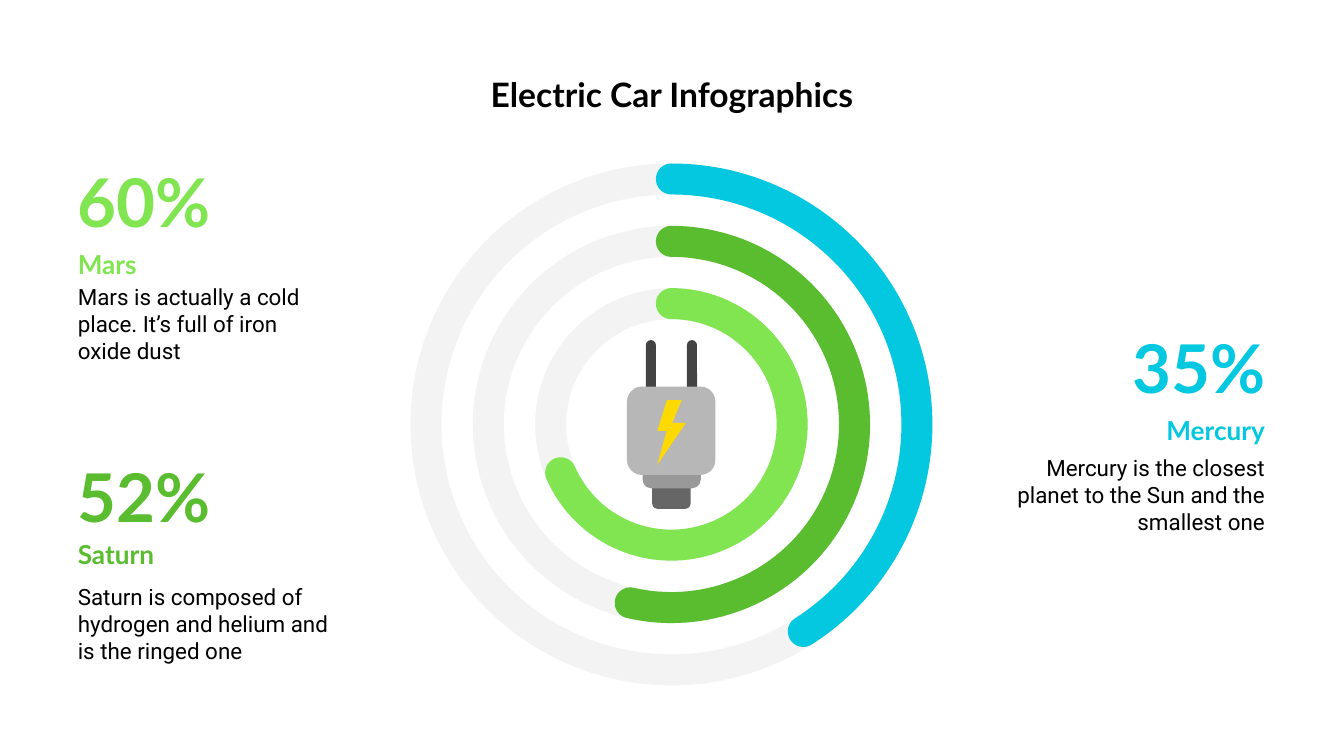
from math import cos, radians, sin

from pptx import Presentation
from pptx.dml.color import RGBColor
from pptx.enum.shapes import MSO_SHAPE
from pptx.enum.text import MSO_ANCHOR, PP_ALIGN
from pptx.util import Pt

LEFT, CENTER, RIGHT = PP_ALIGN.LEFT, PP_ALIGN.CENTER, PP_ALIGN.RIGHT
TOP, MIDDLE = MSO_ANCHOR.TOP, MSO_ANCHOR.MIDDLE
DONUT, ROUNDED = MSO_SHAPE.DONUT, MSO_SHAPE.ROUNDED_RECTANGLE

BLACK = RGBColor(0x00, 0x00, 0x00)
TRACK = RGBColor(0xF3, 0xF3, 0xF3)
CYAN = RGBColor(0x03, 0xC8, 0xDF)
GREEN = RGBColor(0x59, 0xBD, 0x2F)
LIME = RGBColor(0x81, 0xE5, 0x52)
PRONG = RGBColor(0x43, 0x43, 0x43)
CABLE = RGBColor(0x66, 0x66, 0x66)
COLLAR = RGBColor(0x99, 0x99, 0x99)
BODY = RGBColor(0xB7, 0xB7, 0xB7)
YELLOW = RGBColor(0xFF, 0xDA, 0x00)

CENTER_X, CENTER_Y = 359.7, 227.4
OUTER_RADIUS, RING_STEP, RING_WIDTH = 139.8, 33.4, 16.6
# Colour and clockwise sweep in degrees, from the outer ring inwards
RINGS = [(CYAN, 147.5), (GREEN, 193), (LIME, 246.4)]

LEFT_MARGIN, RIGHT_MARGIN = 34.6, 684.8
NUMBER_WIDTH, BODY_WIDTH = 103, 152
# Number, label, body, colour, alignment, tops of the three texts, body height
CALLOUTS = [
    ("60%", "Mars", "Mars is actually a cold place. It’s full of iron oxide dust",
     LIME, LEFT, (72, 123.1, 146.9), 53.3),
    ("52%", "Saturn", "Saturn is composed of hydrogen and helium and is the ringed one",
     GREEN, LEFT, (230.4, 278.6, 306), 56.2),
    ("35%", "Mercury", "Mercury is the closest planet to the Sun and the smallest one",
     CYAN, RIGHT, (161.3, 212.4, 236.9), 56.2),
]

# Left, top, width, height, corner ratio, colour, from back to front
PLUG_PARTS = [
    (349.4, 252, 20.6, 20.6, 0.14, CABLE),
    (346, 182.2, 5.4, 38.2, 0.5, PRONG),
    (368, 182.2, 5.4, 38.2, 0.5, PRONG),
    (344.2, 230.4, 31.2, 31.2, 0.15, COLLAR),
    (335.9, 207.1, 47.4, 47.4, 0.17, BODY),
]
BOLT = [(357.3, 214.4), (352.2, 230.8), (357.2, 230.8), (352.1, 249),
        (367.5, 226.5), (360.2, 226.5), (365.2, 214.4)]


def paint(shape, color):
    shape.shadow.inherit = False
    shape.fill.solid()
    shape.fill.fore_color.rgb = color
    shape.line.fill.background()


def add_preset(shapes, kind, left, top, width, height, adjustment, color):
    shape = shapes.add_shape(kind, Pt(left), Pt(top), Pt(width), Pt(height))
    shape.adjustments[0] = adjustment
    paint(shape, color)


def add_polygon(shapes, points, color):
    (start_x, start_y), *others = [(Pt(x), Pt(y)) for x, y in points]
    builder = shapes.build_freeform(start_x, start_y)
    builder.add_line_segments(others, close=True)
    paint(builder.convert_to_shape(), color)


def add_text(shapes, text, left, top, width, height, *, font, size, color,
             bold=False, align=LEFT, anchor=TOP, line_spacing=None, space_after=None):
    box = shapes.add_textbox(Pt(left), Pt(top), Pt(width), Pt(height))
    frame = box.text_frame
    frame.word_wrap = True
    frame.vertical_anchor = anchor
    frame.margin_left = frame.margin_right = Pt(7.2)
    frame.margin_top = frame.margin_bottom = Pt(7.2)
    paragraph = frame.paragraphs[0]
    paragraph.alignment = align
    paragraph.line_spacing = line_spacing
    paragraph.space_after = space_after
    run = paragraph.add_run()
    run.text = text
    run.font.name = font
    run.font.size = Pt(size)
    run.font.bold = bold
    run.font.color.rgb = color


def polar(radius, angle, x=CENTER_X, y=CENTER_Y):
    """Point at a clockwise angle in degrees from the top of a circle."""
    return x + radius * sin(radians(angle)), y - radius * cos(radians(angle))


def arc(radius, start, end, x=CENTER_X, y=CENTER_Y, steps=90):
    return [polar(radius, start + (end - start) * i / steps, x, y)
            for i in range(steps + 1)]


def add_progress(shapes, outer, sweep, color):
    """Draw a ring segment with round ends, starting at the top."""
    inner, middle, cap = outer - RING_WIDTH, outer - RING_WIDTH / 2, RING_WIDTH / 2
    points = arc(outer, 0, sweep)
    points += arc(cap, sweep, sweep + 180, *polar(middle, sweep), steps=24)
    points += arc(inner, sweep, 0)
    points += arc(cap, 180, 360, *polar(middle, 0), steps=24)
    add_polygon(shapes, points, color)


def add_rings(shapes):
    radii = [OUTER_RADIUS - i * RING_STEP for i in range(len(RINGS))]
    for radius in radii:
        add_preset(shapes, DONUT, CENTER_X - radius, CENTER_Y - radius,
                   2 * radius, 2 * radius, RING_WIDTH / (2 * radius), TRACK)
    for radius, (color, sweep) in zip(radii, RINGS):
        add_progress(shapes, radius, sweep, color)


def add_callout(shapes, number, label, body, color, align, tops, body_height):
    group = shapes.add_group_shape().shapes
    number_top, label_top, body_top = tops
    number_left, body_left = (
        (LEFT_MARGIN, LEFT_MARGIN) if align == LEFT
        else (RIGHT_MARGIN - NUMBER_WIDTH, RIGHT_MARGIN - BODY_WIDTH))
    heading = dict(font="Lato", color=color, bold=True, align=align,
                   line_spacing=1.15, space_after=Pt(16))
    add_text(group, body, body_left, body_top, BODY_WIDTH, body_height,
             font="Roboto", size=12, color=BLACK, align=align, anchor=MIDDLE)
    add_text(group, number, number_left, number_top, NUMBER_WIDTH, 45.4,
             size=36, **heading)
    add_text(group, label, number_left, label_top, NUMBER_WIDTH, 30.2,
             size=14, **heading)


def add_plug(shapes):
    for left, top, width, height, corner, color in PLUG_PARTS:
        add_preset(shapes, ROUNDED, left, top, width, height, corner, color)
    add_polygon(shapes, BOLT, YELLOW)


def main():
    presentation = Presentation()
    presentation.slide_width, presentation.slide_height = Pt(720), Pt(405)
    slide = presentation.slides.add_slide(presentation.slide_layouts[6])
    shapes = slide.shapes
    add_text(shapes, "Electric Car Infographics", 36, 32.4, 648, 38.2,
             font="Lato", size=18, color=BLACK, bold=True, align=CENTER)
    add_rings(shapes)
    for callout in CALLOUTS:
        add_callout(shapes, *callout)
    add_plug(shapes)
    presentation.save("out.pptx")


if __name__ == "__main__":
    main()
